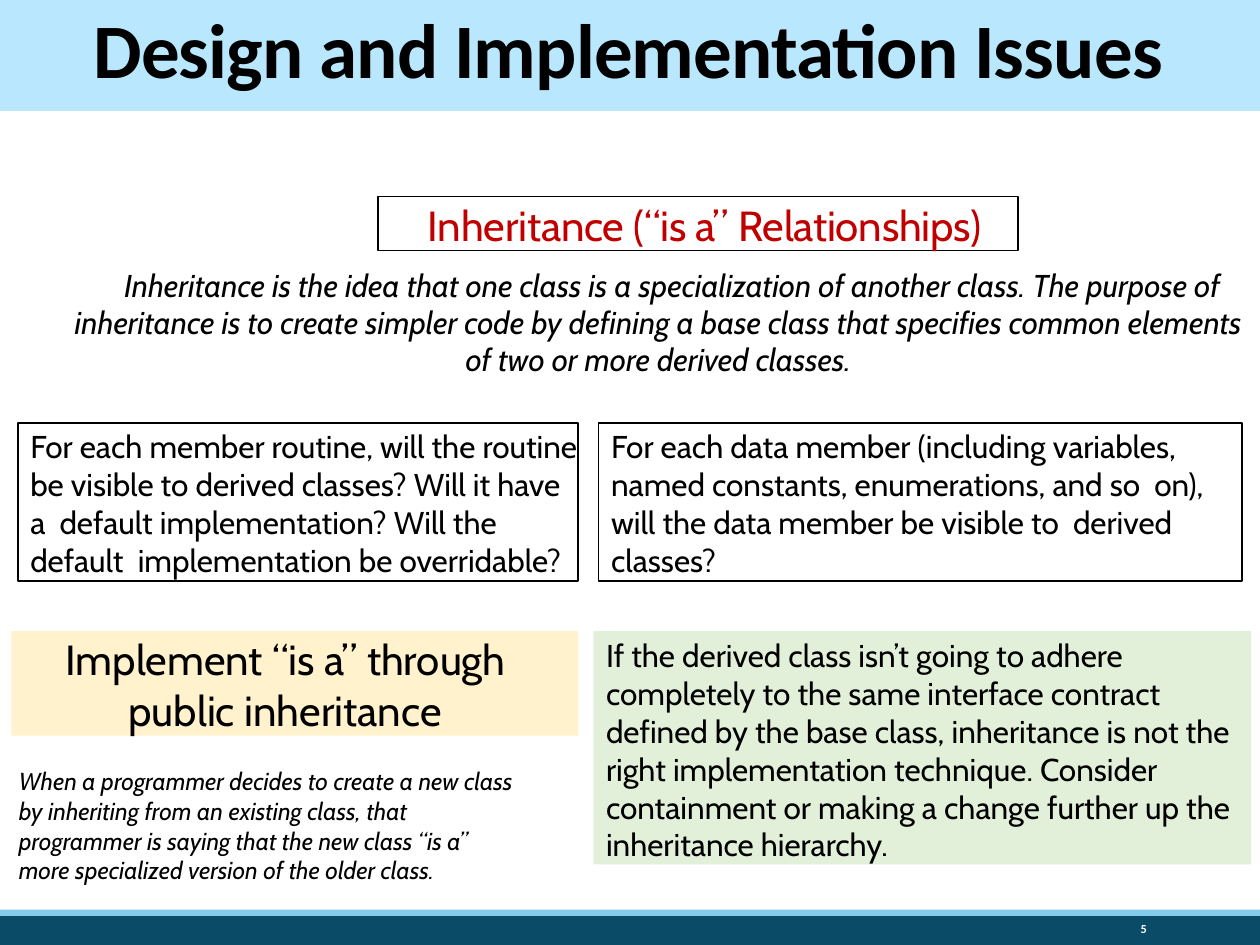
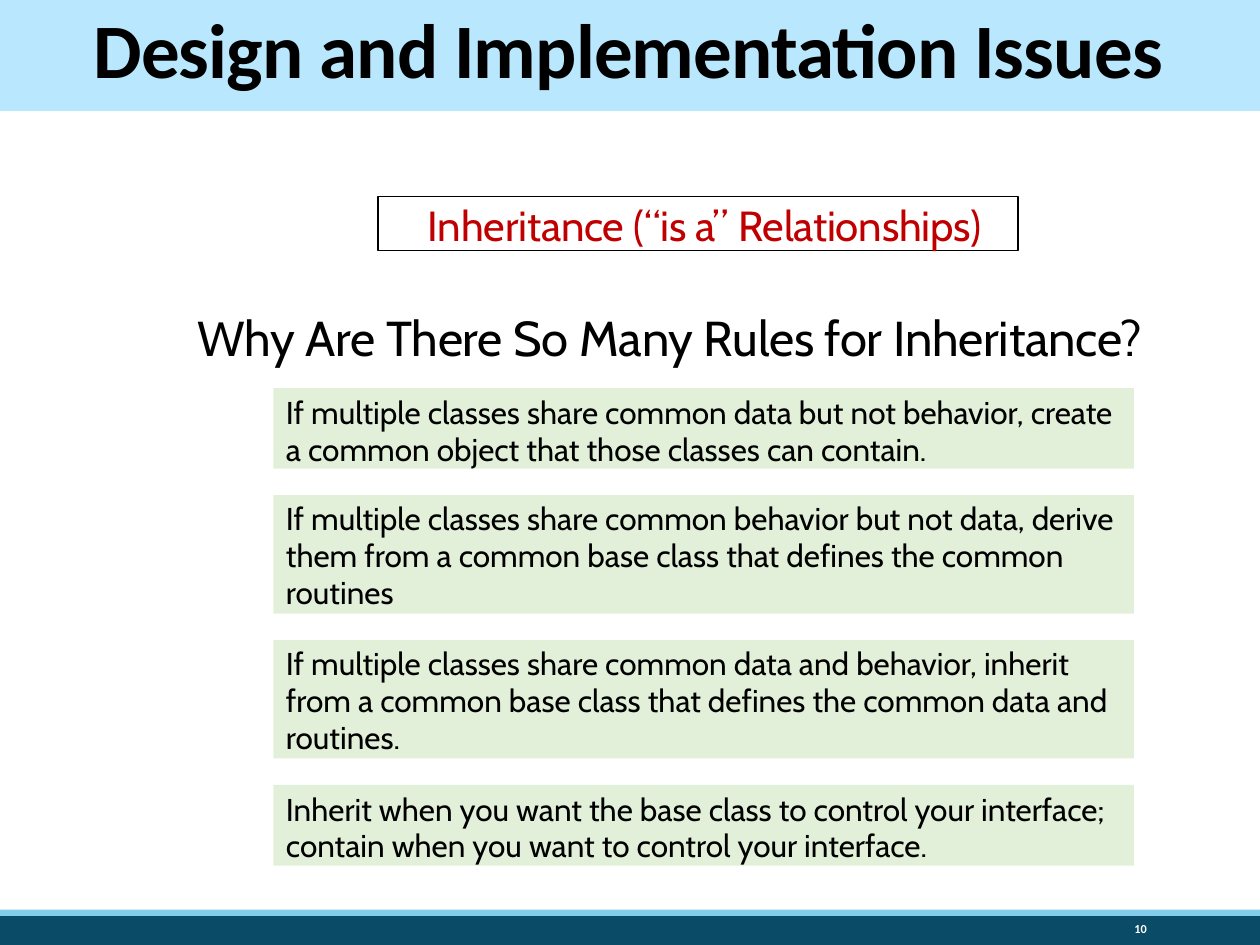
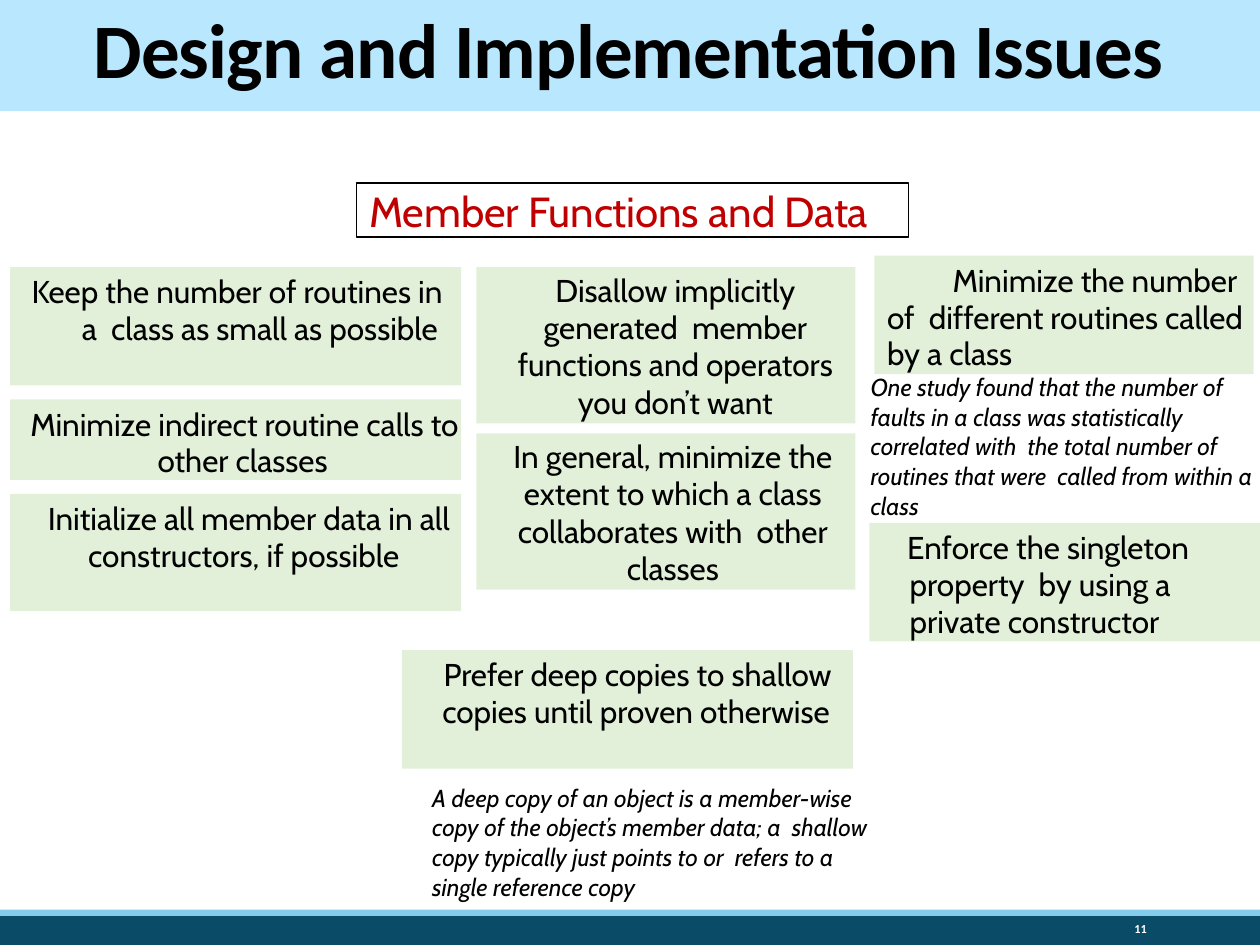
from dataclasses import dataclass
from typing import Optional

from pptx import Presentation
from pptx import util as u
from pptx.dml.color import RGBColor
from pptx.enum import shapes, text

BLACK, WHITE, RED = "000000", "FFFFFF", "C00000"
NAVY, SKY, PALE_BLUE = "0A4B67", "84CDEA", "B9E7FD"
GREEN, CREAM = "E2F0D9", "FFF2CC"
LEFT, CENTER, RIGHT = text.PP_ALIGN.LEFT, text.PP_ALIGN.CENTER, text.PP_ALIGN.RIGHT
MIDDLE, TOP = text.MSO_ANCHOR.MIDDLE, text.MSO_ANCHOR.TOP

Run = tuple[str, float]  # words, letter spacing in points


@dataclass
class Style:
    size: float = 18
    color: str = BLACK
    font: str = "Cabin"
    bold: bool = False
    italic: bool = False
    fill: Optional[str] = None
    outline: Optional[str] = None
    insets: tuple[float, float, float, float] = (0, 0.04, 0, 0)
    anchor: text.MSO_ANCHOR = TOP


PLAIN_INSETS = (0.1, 0.05, 0.1, 0.05)
TITLE = Style(44, font="Calibri", bold=True, fill=PALE_BLUE, insets=PLAIN_INSETS, anchor=MIDDLE)
NUMBER = Style(7, WHITE, "Calibri", bold=True, insets=PLAIN_INSETS, anchor=MIDDLE)
BAND = Style(fill=NAVY)
STRIPE = Style(fill=SKY)
TOPIC = Style(24, RED, outline=BLACK, insets=(0, 0.02, 0, 0))
QUESTION = Style(28, insets=(0, 0.01, 0, 0))
LEAD = Style(italic=True, insets=(0, 0.03, 0, 0))
NOTE = Style(14, italic=True, insets=(0, 0.01, 0, 0))
FRAMED = Style(outline=BLACK, insets=(0, 0.03, 0, 0))
KEY_POINT = Style(24, fill=CREAM, insets=(0, 0.02, 0, 0))
RULE = Style(fill=GREEN)
TIGHT_RULE = Style(fill=GREEN, insets=(0, 0.05, 0, 0))
TIGHT = u.Pt(21)


@dataclass
class Box:
    left: float
    top: float
    width: float
    height: float
    style: Style
    words: str | list[Run] = ""
    align: text.PP_ALIGN = LEFT
    margin: float = 0.1
    indent: float = 0
    spacing: float | u.Length = 1.0
    after: float = 0


def rgb(color: str) -> RGBColor:
    return RGBColor.from_string(color)


def add_shape(slide, box: Box):
    """Add a text box, or a rectangle when the style has a fill or an outline."""
    style = box.style
    place = [u.Inches(n) for n in (box.left, box.top, box.width, box.height)]
    if not (style.fill or style.outline):
        return slide.shapes.add_textbox(*place)
    shape = slide.shapes.add_shape(shapes.MSO_SHAPE.RECTANGLE, *place)
    shape.shadow.inherit = False
    if style.fill:
        shape.fill.solid()
        shape.fill.fore_color.rgb = rgb(style.fill)
    else:
        shape.fill.background()
    if style.outline:
        shape.line.color.rgb = rgb(style.outline)
        shape.line.width = u.Pt(1)
    else:
        shape.line.fill.background()
    return shape


def add_box(slide, box: Box) -> None:
    style = box.style
    frame = add_shape(slide, box).text_frame
    if not box.words:
        return
    frame.word_wrap = True
    frame.vertical_anchor = style.anchor
    for side, inset in zip(("left", "top", "right", "bottom"), style.insets):
        setattr(frame, f"margin_{side}", u.Inches(inset))

    paragraph = frame.paragraphs[0]
    layout = {"alignment": box.align, "line_spacing": box.spacing, "space_after": u.Pt(box.after)}
    for name, value in layout.items():
        setattr(paragraph, name, value)
    properties = paragraph._p.get_or_add_pPr()
    properties.set("marL", str(u.Inches(box.margin)))
    properties.set("indent", str(u.Inches(box.indent)))

    runs = [(box.words, 0)] if isinstance(box.words, str) else box.words
    look = {"name": style.font, "size": u.Pt(style.size), "bold": style.bold, "italic": style.italic}
    for words, tracking in runs:
        run = paragraph.add_run()
        run.text = words
        for name, value in look.items():
            setattr(run.font, name, value)
        run.font.color.rgb = rgb(style.color)
        if tracking:
            run._r.get_or_add_rPr().set("spc", str(round(tracking * 100)))


def add_slide(presentation, number: int, boxes: list[Box]) -> None:
    slide = presentation.slides.add_slide(presentation.slide_layouts[6])
    frame = [
        Box(0, 7.27, 10, 0.24, BAND),
        Box(0, 7.22, 10, 0.05, STRIPE),
        Box(-0.03, -0.01, 10.03, 0.89, TITLE, [("Design and Implementation Issues", -0.5)],
            CENTER, margin=0, spacing=0.85),
        Box(8.12, 7.27, 1.08, 0.21, NUMBER, str(number), RIGHT, margin=0, spacing=0.9, after=6),
    ]
    for box in frame + boxes:
        add_box(slide, box)


def note(left: float, top: float, width: float, height: float, words: str) -> Box:
    return Box(left, top, width, height, NOTE, words, margin=0.01, spacing=1.01)


def stack_rules() -> list[Box]:
    """Stack the rules for choosing inheritance with equal gaps."""
    rules = [
        (2, "If multiple classes share common data but not behavior, create "
            "a common object that those classes can contain."),
        (3, "If multiple classes share common behavior but not data, derive "
            "them from a common base class that defines the common routines"),
        (3, "If multiple classes share common data and behavior, inherit "
            "from a common base class that defines the common data and routines."),
        (2, "Inherit when you want the base class to control your interface; "
            "contain when you want to control your interface."),
    ]
    boxes, top, gap = [], 3.08, 0.21
    for lines, words in rules:
        height = 0.04 + 0.3 * lines
        style, spacing = (TIGHT_RULE, u.Pt(20.9)) if lines == 2 else (RULE, 0.99)
        boxes.append(Box(2.17, top, 6.83, height, style, words, spacing=spacing))
        top += height + gap
    return boxes


INHERITANCE = Box(3, 1.56, 5.08, 0.43, TOPIC,
                  [("Inheritance (“is ", -0.1), ("a” ", 0), ("Relationships)", -0.1)], CENTER)

INHERITANCE_DESIGN = [
    INHERITANCE,
    Box(0.58, 2.09, 9.28, 0.91, LEAD,
        "Inheritance is the idea that one class is a specialization of another class. "
        "The purpose of inheritance is to create simpler code by defining a base class "
        "that specifies common elements of two or more derived classes.",
        CENTER, margin=0.01, indent=0.22, spacing=u.Pt(21.1)),
    Box(4.75, 3.36, 5.11, 1.25, FRAMED,
        "For each data member (including variables, named constants, enumerations, "
        "and so  on), will the data member be visible to  derived classes?"),
    Box(0.14, 3.36, 4.45, 1.25, FRAMED,
        "For each member routine, will the routine be visible to derived classes? "
        "Will it have a  default implementation? Will the default  implementation be overridable?"),
    Box(0.09, 5.01, 4.5, 0.83, KEY_POINT, "Implement “is a” through public inheritance",
        margin=0.93, indent=-0.5),
    note(0.14, 6.07, 4, 0.96,
         "When a programmer decides to create a new class by inheriting from an existing "
         "class, that programmer is saying that the new class “is a” more specialized "
         "version of the older class."),
    Box(4.71, 5.01, 5.22, 1.85, RULE,
        "If the derived class isn’t going to adhere completely to the same interface "
        "contract defined by the base class, inheritance is not the right implementation "
        "technique. Consider containment or making a change further up the inheritance hierarchy."),
]

INHERITANCE_RULES = [
    INHERITANCE,
    Box(1.56, 2.43, 8.5, 0.48, QUESTION,
        [("Why ", -0.2), ("Are There So Many Rules ", -0.1), ("for ", -0.2), ("Inheritance?", -0.1)],
        margin=0.01),
    *stack_rules(),
]

COLUMN_1, COLUMN_2, COLUMN_3 = 0.08, 3.78, 6.9
WIDE, NARROW = 3.58, 3.01

MEMBER_FUNCTIONS = [
    Box(2.83, 1.45, 4.38, 0.43, TOPIC,
        [("Member ", 0), ("Functions ", -0.1), ("and ", 0), ("Data", -0.2)]),
    Box(COLUMN_1, 2.12, WIDE, 0.94, TIGHT_RULE,
        "Keep the number of routines in a  class as small as possible",
        margin=0.57, indent=-0.4, spacing=TIGHT),
    Box(COLUMN_2, 2.12, NARROW, 1.24, RULE,
        "Disallow implicitly generated  member functions and operators you don’t want",
        CENTER, margin=0.15, spacing=0.99),
    Box(6.94, 2.03, NARROW, 0.94, TIGHT_RULE,
        "Minimize the number of  different routines called by a class",
        indent=0.52, spacing=TIGHT),
    Box(COLUMN_1, 3.17, WIDE, 0.64, TIGHT_RULE,
        "Minimize indirect routine calls to other classes",
        margin=1.17, indent=-1.01, spacing=TIGHT),
    Box(COLUMN_2, 3.44, NARROW, 1.24, RULE,
        "In general, minimize the extent to which a class collaborates with  other classes",
        CENTER, margin=0.11, spacing=0.99),
    note(COLUMN_3, 2.94, 3.05, 1.19,
         "One study found that the number of faults in a class was statistically correlated "
         "with  the total number of routines that were  called from within a class"),
    Box(COLUMN_3, 4.15, 3.1, 0.94, TIGHT_RULE,
        "Enforce the singleton property  by using a private constructor",
        margin=0.32, indent=-0.02, spacing=TIGHT),
    Box(COLUMN_1, 3.92, WIDE, 0.93, TIGHT_RULE,
        "Initialize all member data in all constructors, if possible",
        margin=0.62, indent=-0.32, spacing=TIGHT),
    Box(3.19, 5.16, WIDE, 0.94, TIGHT_RULE,
        "Prefer deep copies to shallow copies until proven otherwise",
        margin=0.32, indent=0.01, spacing=TIGHT),
    note(3.42, 6.2, 3.52, 0.96,
         "A deep copy of an object is a member-wise copy of the object’s member data; "
         "a  shallow copy typically just points to or  refers to a single reference copy"),
]


def main() -> None:
    presentation = Presentation()
    presentation.slide_width, presentation.slide_height = u.Inches(10), u.Inches(7.5)
    pages = {5: INHERITANCE_DESIGN, 10: INHERITANCE_RULES, 11: MEMBER_FUNCTIONS}
    for number, boxes in pages.items():
        add_slide(presentation, number, boxes)
    presentation.save("out.pptx")


if __name__ == "__main__":
    main()
